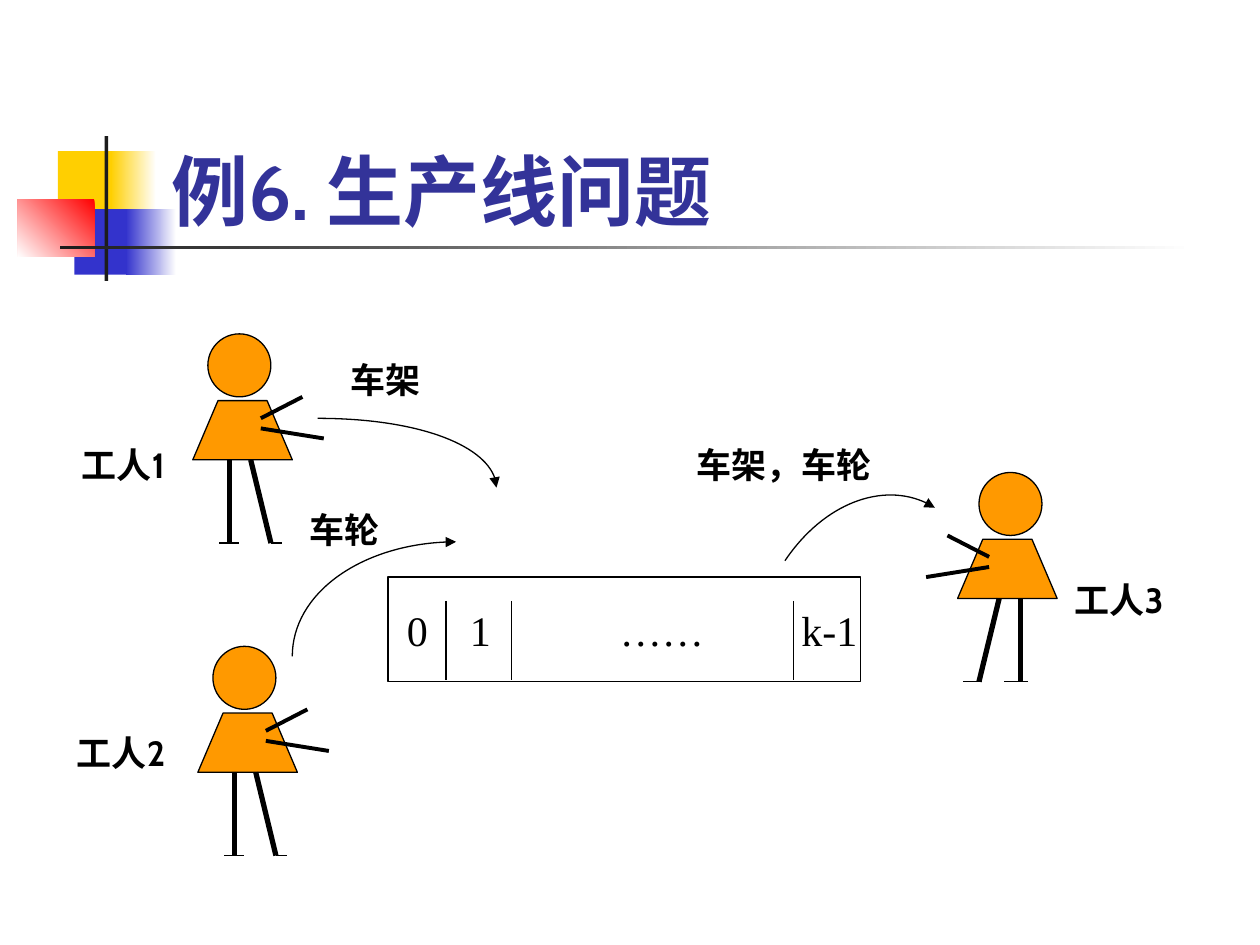
"""Build a slide on the production line problem with three workers and a buffer."""
from pptx import Presentation
from pptx.dml.color import RGBColor
from pptx.enum.shapes import MSO_CONNECTOR, MSO_SHAPE
from pptx.enum.text import MSO_ANCHOR, PP_ALIGN
from pptx.oxml.ns import qn
from pptx.util import Inches, Pt
from lxml.etree import SubElement

COLORS = {"black": "000000", "dark": "1C1C1C", "white": "FFFFFF", "gold": "FFCF01",
          "blue": "3333CC", "red": "FF0000", "title": "333399", "orange": "FF9900"}

TITLE = ("例6. 生产线问题", (1.26, 0.67, 8.52, 1.25))
DECOR = [
    ((0.46, 1.2, 0.48, 0.52), ("gold",), 0),
    ((0.88, 1.2, 0.36, 0.52), ("white", "gold"), 180),
    ((0.59, 1.66, 0.46, 0.52), ("blue",), 0),
    ((1, 1.66, 0.4, 0.52), ("white", "blue"), 180),
    ((0.14, 1.58, 0.61, 0.46), ("red", "white"), 225),
    ((0.83, 1.08, 0.03, 1.15), ("dark",), 0),
    ((0.48, 1.95, 9, 0.03), ("white", "dark"), 180),
]
BUFFER = (3.08, 4.58, 3.75, 0.83)
SLOTS = ["0", "1", "……", "k-1"]
TABS = [0.5, 1.69, 3.13]
BARS = [3.54, 4.06, 6.3]
FEET = [(-0.16, 0), (0.25, 0.34)]
WORKERS = [
    (1.9, 2.65, 1, FEET),
    (1.94, 5.13, 1, FEET),
    (8.02, 3.75, -1, [(-0.14, 0.05), (0.23, 0.38)]),
]
SKIRT = [(-0.37, 1), (0.42, 1), (0.22, 0.53), (-0.17, 0.53)]
LIMBS = [
    ((-0.08, 1), (-0.08, 1.66), 3),
    ((0.09, 1), (0.25, 1.66), 3),
    ((0.17, 0.75), (0.67, 0.83), 2.25),
    ((0.17, 0.67), (0.5, 0.5), 2.25),
]
CURVES = [
    [(2.52, 3.32), (3.3, 3.32), (3.94, 3.56), (3.94, 3.87)],
    [(2.32, 5.21), (2.32, 4.71), (2.9, 4.3), (3.62, 4.3)],
    [(6.23, 4.45), (6.54, 3.99), (7.07, 3.8), (7.42, 4.03)],
]
LABELS = [
    ("车架", 2.68, 2.8, 0.79), ("车轮", 2.36, 3.99, 0.79),
    ("车架，车轮", 5.43, 3.47, 1.61), ("工人1", 0.55, 3.47, 1.02),
    ("工人2", 0.51, 5.76, 1.02), ("工人3", 8.43, 4.54, 1.02),
]


def rgb(name):
    return RGBColor.from_string(COLORS[name])


def write(shape, text, size=20, font="Cabin", color="black", bold=True,
          anchor=MSO_ANCHOR.TOP, left=0.1, right=0.1, tabs=()):
    frame = shape.text_frame
    frame.word_wrap = True
    frame.vertical_anchor = anchor
    frame.margin_left, frame.margin_right = Inches(left), Inches(right)
    para = frame.paragraphs[0]
    para.alignment = PP_ALIGN.LEFT
    if tabs:
        stops = SubElement(para._p.get_or_add_pPr(), qn("a:tabLst"))
        for pos in tabs:
            SubElement(stops, qn("a:tab"), pos=str(Inches(pos)), algn="l")
    run = para.add_run()
    run.text = text
    run.font.size, run.font.bold, run.font.name = Pt(size), bold, font
    run.font.color.rgb = rgb(color)
    SubElement(run._r.get_or_add_rPr(), qn("a:ea"), typeface=font)


def paint(shape, fills=(), line=None, angle=0):
    shape.shadow.inherit = False
    if len(fills) == 2:
        shape.fill.gradient()
        shape.fill.gradient_angle = angle
        for stop, name in zip(shape.fill.gradient_stops, fills):
            stop.color.rgb = rgb(name)
    elif fills:
        shape.fill.solid()
        shape.fill.fore_color.rgb = rgb(fills[0])
    else:
        shape.fill.background()
    if line:
        shape.line.color.rgb = rgb("black")
        shape.line.width = Pt(line)
    else:
        shape.line.fill.background()


def block(shapes, kind, box, *args, **style):
    shape = shapes.add_shape(kind, *map(Inches, box))
    paint(shape, *args, **style)
    return shape


def stroke(shapes, start, end, width=0.75):
    line = shapes.add_connector(MSO_CONNECTOR.STRAIGHT, *map(Inches, (*start, *end)))
    line.line.color.rgb = rgb("black")
    line.line.width = Pt(width)
    SubElement(line._element.spPr, qn("a:effectLst"))


def outline(shapes, points, close):
    spots = [(Inches(x), Inches(y)) for x, y in points]
    form = shapes.build_freeform(*spots[0])
    form.add_line_segments(spots[1:], close=close)
    return form.convert_to_shape()


def worker(slide, mid, top, side, feet):
    shapes = slide.shapes.add_group_shape().shapes

    def place(spot):
        return mid + side * spot[0], top + spot[1]

    block(shapes, MSO_SHAPE.OVAL, (mid - 0.25, top, 0.5, 0.5), ("orange",), 0.75)
    paint(outline(shapes, map(place, SKIRT), True), ("orange",), 0.75)
    for start, end, width in LIMBS:
        stroke(shapes, place(start), place(end), width)
    for near, far in feet:
        stroke(shapes, place((near, 1.66)), place((far, 1.66)))


def curve(slide, points):
    shape = outline(slide.shapes, points, False)
    paint(shape, line=0.75)
    props = shape._element.spPr
    route = next(props.iter(qn("a:path")))
    bend = SubElement(route, qn("a:cubicBezTo"))
    for step in route.findall(qn("a:lnTo")):
        bend.append(step[0])
        route.remove(step)
    SubElement(props.find(qn("a:ln")), qn("a:tailEnd"), type="triangle")


def main():
    deck = Presentation()
    deck.slide_width, deck.slide_height = Inches(10), Inches(7.5)
    slide = deck.slides.add_slide(deck.slide_layouts[6])
    shapes = slide.shapes
    for box, fills, angle in DECOR:
        block(shapes, MSO_SHAPE.RECTANGLE, box, fills, angle=angle)
    text, box = TITLE
    write(shapes.add_textbox(*map(Inches, box)), text, size=44, color="title",
          anchor=MSO_ANCHOR.BOTTOM)
    store = block(shapes, MSO_SHAPE.RECTANGLE, BUFFER, line=0.75)
    write(store, "\t".join(SLOTS), size=24, font="Times New Roman", bold=False,
          anchor=MSO_ANCHOR.MIDDLE, left=0.15, right=0, tabs=TABS)
    for x in BARS:
        stroke(shapes, (x, 4.77), (x, 5.4))
    for person in WORKERS:
        worker(slide, *person)
    for points in CURVES:
        curve(slide, points)
    for text, left, top, width in LABELS:
        write(shapes.add_textbox(*map(Inches, (left, top, width, 0.44))), text)
    deck.save("out.pptx")


if __name__ == "__main__":
    main()
